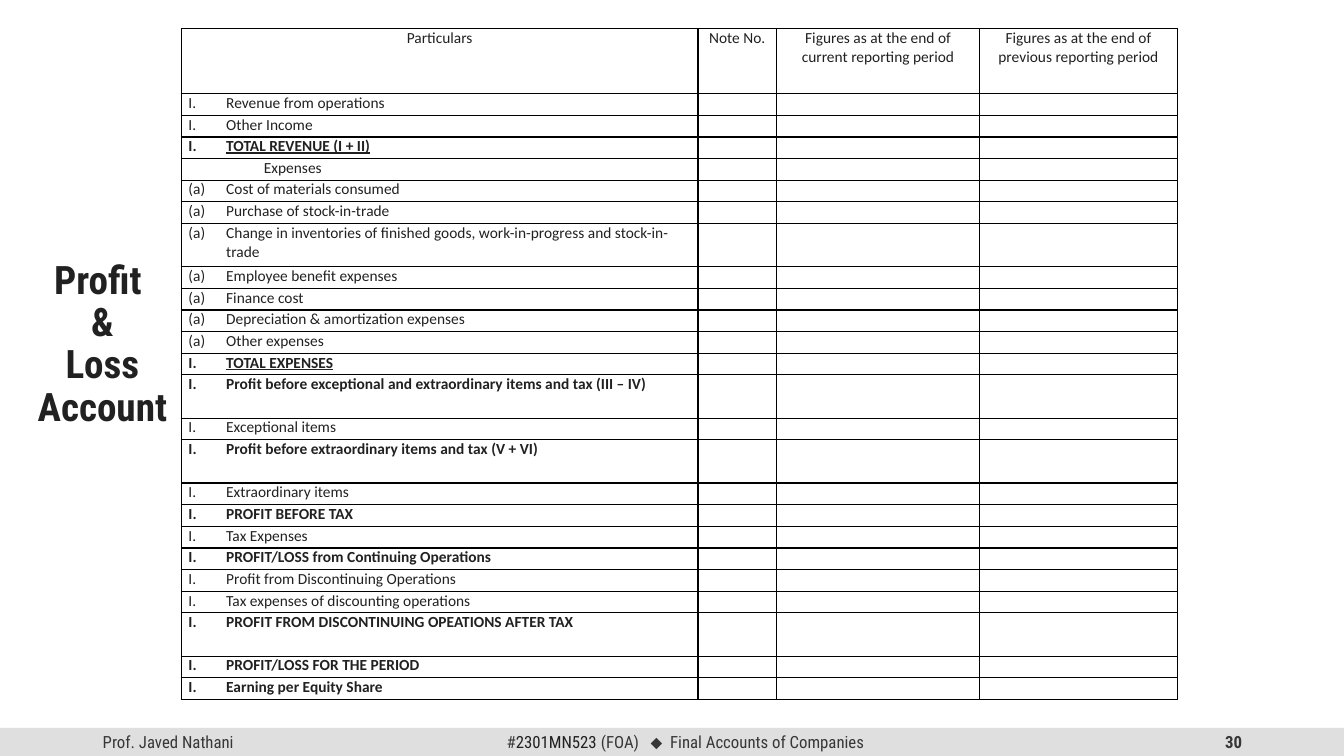
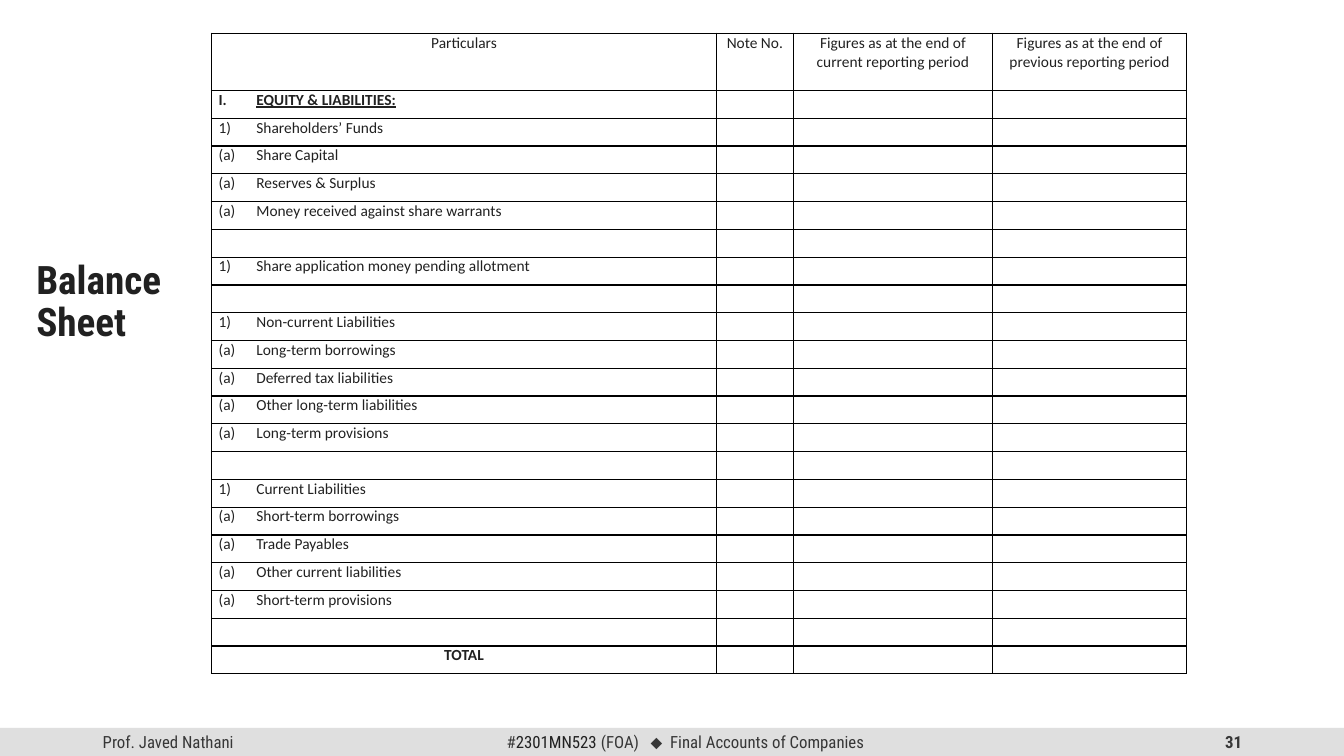
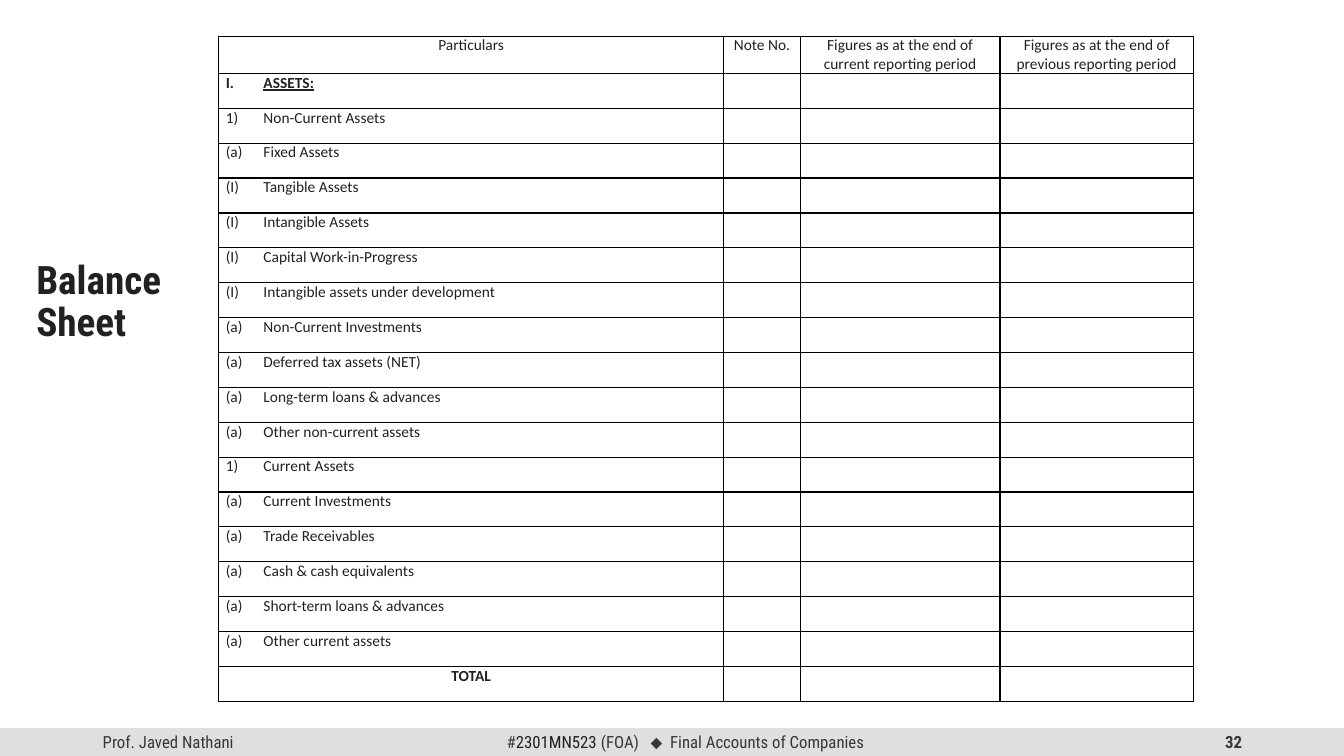
from dataclasses import dataclass
from lxml.etree import SubElement
from pptx import Presentation
from pptx.dml.color import RGBColor as RGB
from pptx.enum.shapes import MSO_SHAPE as SHAPE
from pptx.enum.text import MSO_ANCHOR as ANCHOR, MSO_AUTO_SIZE as FIT, PP_ALIGN as AL
from pptx.oxml.ns import qn
from pptx.util import Cm, Pt


@dataclass(frozen=True)
class Theme:
    ink: RGB = RGB(0x21, 0x21, 0x21)
    grey: RGB = RGB(0x37, 0x37, 0x37)
    band: RGB = RGB(0xDF, 0xDF, 0xDF)
    rule: str = "000000"
    head_font: str = "Roboto Condensed"
    table_font: str = "Calibri"
    symbol_font: str = "Arial"
    title: Pt = Pt(28)
    table: Pt = Pt(11)
    footer: Pt = Pt(12)
    border: Pt = Pt(1)


T = Theme()
BAND_TOP, BAND_H = Cm(18.34), Cm(0.71)
HANG, DEEP = Cm(0.95), Cm(1.9)
NUMBERING = {"I.": "romanUcPeriod", "1)": "arabicParenR",
             "(a)": "alphaLcParenBoth", "(I)": "romanUcParenBoth"}
HEADINGS = ["Particulars", "Note No.", "Figures as at the end of current reporting period",
            "Figures as at the end of previous reporting period"]
BLANK = ("", "", "", 1)

profit_loss = [
    ("I.", "Revenue from operations", "", 1),
    ("I.", "Other Income", "", 1),
    ("I.", "TOTAL REVENUE (I + II)", "bu", 1),
    ("deep", "Expenses", "", 1),
    ("(a)", "Cost of materials consumed", "", 1),
    ("(a)", "Purchase of stock-in-trade", "", 1),
    ("(a)", "Change in inventories of finished goods, work-in-progress and stock-in-trade", "", 2),
    ("(a)", "Employee benefit expenses", "", 1),
    ("(a)", "Finance cost", "", 1),
    ("(a)", "Depreciation & amortization expenses", "", 1),
    ("(a)", "Other expenses", "", 1),
    ("I.", "TOTAL EXPENSES", "bu", 1),
    ("I.", "Profit before exceptional and extraordinary items and tax (III – IV)", "b", 2),
    ("I.", "Exceptional items", "", 1),
    ("I.", "Profit before extraordinary items and tax (V + VI)", "b", 2),
    ("I.", "Extraordinary items", "", 1),
    ("I.", "PROFIT BEFORE TAX", "b", 1),
    ("I.", "Tax Expenses", "", 1),
    ("I.", "PROFIT/LOSS from Continuing Operations", "b", 1),
    ("I.", "Profit from Discontinuing Operations", "", 1),
    ("I.", "Tax expenses of discounting operations", "", 1),
    ("I.", "PROFIT FROM DISCONTINUING OPEATIONS AFTER TAX", "b", 2),
    ("I.", "PROFIT/LOSS FOR THE PERIOD", "b", 1),
    ("I.", "Earning per Equity Share", "b", 1),
]
liabilities = [
    ("I.", "EQUITY & LIABILITIES:", "bu", 1),
    ("1)", "Shareholders’ Funds", "", 1),
    ("(a)", "Share Capital", "", 1),
    ("(a)", "Reserves & Surplus", "", 1),
    ("(a)", "Money received against share warrants", "", 1),
    BLANK,
    ("1)", "Share application money pending allotment", "", 1),
    BLANK,
    ("1)", "Non-current Liabilities", "", 1),
    ("(a)", "Long-term borrowings", "", 1),
    ("(a)", "Deferred tax liabilities", "", 1),
    ("(a)", "Other long-term liabilities", "", 1),
    ("(a)", "Long-term provisions", "", 1),
    BLANK,
    ("1)", "Current Liabilities", "", 1),
    ("(a)", "Short-term borrowings", "", 1),
    ("(a)", "Trade Payables", "", 1),
    ("(a)", "Other current liabilities", "", 1),
    ("(a)", "Short-term provisions", "", 1),
    BLANK,
    ("center", "TOTAL", "b", 1),
]
assets = [
    ("I.", "ASSETS:", "bu", 1),
    ("1)", "Non-Current Assets", "", 1),
    ("(a)", "Fixed Assets", "", 1),
    ("(I)", "Tangible Assets", "", 1),
    ("(I)", "Intangible Assets", "", 1),
    ("(I)", "Capital Work-in-Progress", "", 1),
    ("(I)", "Intangible assets under development", "", 1),
    ("(a)", "Non-Current Investments", "", 1),
    ("(a)", "Deferred tax assets (NET)", "", 1),
    ("(a)", "Long-term loans & advances", "", 1),
    ("(a)", "Other non-current assets", "", 1),
    ("1)", "Current Assets", "", 1),
    ("(a)", "Current Investments", "", 1),
    ("(a)", "Trade Receivables", "", 1),
    ("(a)", "Cash & cash equivalents", "", 1),
    ("(a)", "Short-term loans & advances", "", 1),
    ("(a)", "Other current assets", "", 1),
    ("center", "TOTAL", "b", 1),
]
wide, narrow = [13.02, 1.98, 5.12, 4.98], [12.73, 1.93, 5.03, 4.88]
pages = [
    (["Profit ", "&", "Loss Account"], AL.CENTER, profit_loss, 4.57, 0.72, wide, 16.92, 1.64),
    (["Balance", "Sheet"], AL.LEFT, liabilities, 5.33, 0.84, narrow, 16.15, 1.44),
    (["Balance", "Sheet"], AL.LEFT, assets, 5.51, 0.91, narrow, 16.77, 0.94),
]


def add_run(p, text, size, font, color, look=""):
    r = p.add_run()
    r.text = text
    r.font.size, r.font.name, r.font.color.rgb = size, font, color
    r.font.bold = "b" in look
    r.font.underline = "u" in look


def add_footer(s, left, width, align, runs):
    sp = s.shapes.add_textbox(left, BAND_TOP, width, BAND_H)
    tf = sp.text_frame
    tf.word_wrap, tf.vertical_anchor = True, ANCHOR.MIDDLE
    p = tf.paragraphs[0]
    p.alignment = align
    for text, font, color, look in runs:
        add_run(p, text, T.footer, font, color, look)
    return sp


prs = Presentation()
prs.slide_width, prs.slide_height = Cm(33.87), Cm(19.05)
layout = prs.slide_layouts[5]
for ph in list(layout.placeholders)[1:]:
    ph.element.getparent().remove(ph.element)
title = layout.placeholders[0]
title.left, title.top, title.width, title.height = Cm(0.66), Cm(6.43), Cm(3.84), Cm(8.71)
title.text_frame.vertical_anchor = ANCHOR.TOP
title.text_frame.auto_size = FIT.NONE

slides = [prs.slides.add_slide(layout) for _ in pages]
s = slides[0]
band = s.shapes.add_shape(SHAPE.RECTANGLE, 0, BAND_TOP, prs.slide_width, BAND_H)
band.shadow.inherit = False
band.fill.solid()
band.fill.fore_color.rgb = T.band
band.line.fill.background()
author = add_footer(s, Cm(2.34), Cm(7.62), AL.LEFT,
                    [("Prof. Javed Nathani", T.head_font, T.grey, "")])
course = add_footer(s, Cm(10.62), Cm(13.31), AL.CENTER, [
    ("#", T.head_font, T.grey, ""),
    ("2301MN523 ", T.head_font, T.ink, ""),
    ("(FOA)   ", T.head_font, T.grey, ""),
    ("⬥", T.symbol_font, T.grey, ""),
    ("  Final Accounts of Companies", T.head_font, T.grey, ""),
])
for sp in (band, author, course):
    layout.element.cSld.spTree.append(sp.element)

for number, (s, page) in enumerate(zip(slides, pages), 30):
    lines, align, items, left, top, widths, height, head = page
    tf = s.shapes.title.text_frame
    for i, line in enumerate(lines):
        p = tf.add_paragraph() if i else tf.paragraphs[0]
        p.alignment, p.line_spacing = align, 0.9
        add_run(p, line, T.title, T.head_font, T.ink, "b")
    add_footer(s, Cm(23.93), Cm(7.62), AL.RIGHT, [(str(number), T.head_font, T.grey, "b")])

    table = s.shapes.add_table(len(items) + 1, len(widths), Cm(left), Cm(top),
                               Cm(sum(widths)), Cm(height)).table
    table.first_row = table.horz_banding = False
    for col, width in zip(table.columns, widths):
        col.width = Cm(width)
    unit = (height - head) / sum(item[3] for item in items)
    table.rows[0].height = Cm(head)
    for row, item in zip(list(table.rows)[1:], items):
        row.height = Cm(unit * item[3])

    grid = [[("center", text, "") for text in HEADINGS]]
    grid += [[item[:3]] + [BLANK[:3]] * 3 for item in items]
    for row, entries in zip(table.rows, grid):
        for cell, (mark, text, look) in zip(row.cells, entries):
            cell.margin_left = cell.margin_right = Cm(0.18)
            cell.margin_top = cell.margin_bottom = 0
            tcPr = cell._tc.get_or_add_tcPr()
            for side in ("lnL", "lnR", "lnT", "lnB"):
                ln = SubElement(tcPr, qn("a:" + side), w=str(T.border))
                SubElement(SubElement(ln, qn("a:solidFill")), qn("a:srgbClr"), val=T.rule)
            cell.fill.background()
            p = cell.text_frame.paragraphs[0]
            if not text:
                SubElement(p._p, qn("a:endParaRPr"), sz=str(int(T.table.pt * 100)))
                continue
            if mark == "center":
                p.alignment = AL.CENTER
            elif mark == "deep":
                p._p.get_or_add_pPr().set("marL", str(DEEP))
            else:
                pPr = p._p.get_or_add_pPr()
                pPr.set("marL", str(HANG))
                pPr.set("indent", str(-HANG))
                SubElement(pPr, qn("a:buAutoNum"), type=NUMBERING[mark])
            add_run(p, text, T.table, T.table_font, T.ink, look)

prs.save("out.pptx")
